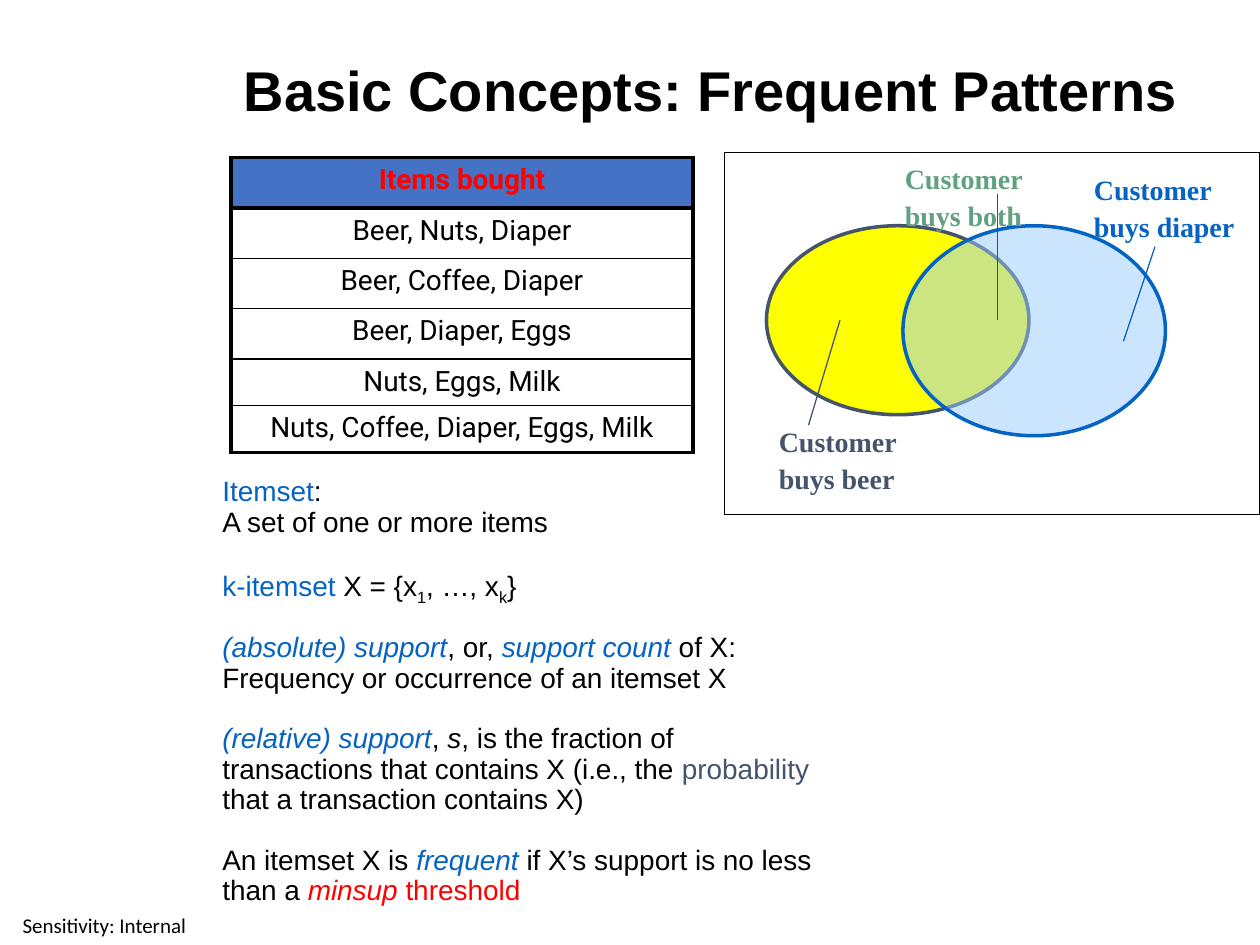
from dataclasses import dataclass

from lxml.etree import SubElement
from pptx import Presentation
from pptx.dml.color import RGBColor as RGB
from pptx.enum.shapes import MSO_CONNECTOR as CONN, MSO_SHAPE as SHAPE
from pptx.enum.text import MSO_ANCHOR as ANCHOR, PP_ALIGN as ALIGN
from pptx.oxml.ns import qn
from pptx.util import Inches, Pt


@dataclass(frozen=True)
class Theme:
    black: str = "000000"
    blue: str = "0563C1"
    slate: str = "44546A"
    red: str = "FF0000"
    green: str = "008000"
    sage: str = "5FA180"
    yellow: str = "FFFF00"
    sky: str = "99CCFF"
    header: str = "4472C4"
    title_size: int = 32
    body_size: int = 16
    small_size: int = 12
    body_font: str = "Arial"
    table_font: str = "Roboto"
    label_font: str = "Times New Roman"
    small_font: str = "Calibri"


T = Theme()
ITEMS = ["Items bought", "Beer, Nuts, Diaper", "Beer, Coffee, Diaper",
         "Beer, Diaper, Eggs", "Nuts, Eggs, Milk",
         "Nuts, Coffee, Diaper, Eggs, Milk"]

# Each paragraph: starts a new block?, then runs of (text, colour, style)
DEFINITIONS = [
    (False, [("Itemset", T.blue, ""), (":", T.black, "")]),
    (False, [("A set of one or more items", T.black, "")]),
    (True, [("k-itemset", T.blue, ""), (" X = {x", T.black, ""),
            ("1", T.black, "sub"), (", …, x", T.black, ""),
            ("k", T.black, "sub"), ("}", T.black, "")]),
    (True, [("(absolute) support", T.blue, "italic"), (", or, ", T.black, ""),
            ("support count", T.blue, "italic"),
            (" of X: Frequency or occurrence of an itemset X", T.black, "")]),
    (True, [("(relative) support", T.blue, "italic"), (", ", T.black, ""),
            ("s", T.black, "italic"),
            (", is the fraction of transactions that contains X (i.e., the ",
             T.black, ""),
            ("probability", T.slate, ""),
            (" that a transaction contains X)", T.black, "")]),
    (True, [("An itemset X is ", T.black, ""), ("frequent", T.blue, "italic"),
            (" if X’s support is no less than a ", T.black, ""),
            ("minsup", T.red, "italic"), (" threshold", T.red, "")]),
]


def grid(*units):
    """Lengths on a grid of 120 columns by 90 rows, 12 to the inch."""
    return [Inches(u / 12) for u in units]


def set_font(p, name, size, color=None, bold=False):
    p.font.name, p.font.size, p.font.bold = name, Pt(size), bold
    if color:
        p.font.color.rgb = RGB.from_string(color)


def add_text_box(slide, box, wrap=True):
    tf = slide.shapes.add_textbox(*grid(*box)).text_frame
    tf.word_wrap = wrap
    return tf


def add_title(slide, text):
    title = slide.shapes.title
    title.left, title.top, title.width, title.height = grid(22, 5, 93.2, 7.8)
    tf = title.text_frame
    tf.text, tf.vertical_anchor = text, ANCHOR.MIDDLE
    p = tf.paragraphs[0]
    p.alignment, p.line_spacing = ALIGN.LEFT, 0.9
    set_font(p, T.body_font, T.title_size, T.black, True)


def set_borders(cell, top, bottom):
    tc_pr = cell._tc.get_or_add_tcPr()
    widths = {"a:lnL": 2.25, "a:lnR": 2.25, "a:lnT": top, "a:lnB": bottom}
    for tag, width in widths.items():
        ln = SubElement(tc_pr, qn(tag), w=str(Pt(width)))
        SubElement(SubElement(ln, qn("a:solidFill")), qn("a:srgbClr"),
                   val=T.black)


def add_items_table(slide, items):
    table = slide.shapes.add_table(len(items), 1, *grid(22, 15, 44, 28)).table
    table.horz_banding = False
    last = len(items) - 1
    for i, text in enumerate(items):
        table.rows[i].height = Inches(0.4 if i < 4 else 0.37)
        cell = table.cell(i, 0)
        set_borders(cell, 2.25 if i < 2 else 1, 2.25 if i in (0, last) else 1)
        if i == 0:
            cell.fill.solid()
            cell.fill.fore_color.rgb = RGB.from_string(T.header)
        else:
            cell.fill.background()
        cell.text = text
        p = cell.text_frame.paragraphs[0]
        p.alignment, p.space_before = ALIGN.CENTER, Pt(3.2)
        set_font(p, T.table_font, T.body_size, T.black if i else T.red, i == 0)


def add_definitions(slide, paragraphs):
    tf = add_text_box(slide, (20, 44.9, 60, 41.9))
    for i, (new_block, runs) in enumerate(paragraphs):
        p = tf.add_paragraph() if i else tf.paragraphs[0]
        p.line_spacing = 0.9
        if new_block:
            p.space_before = Pt(17.5)
        set_font(p, T.body_font, T.body_size)
        for text, color, style in runs:
            r = p.add_run()
            r.text = text
            r.font.color.rgb = RGB.from_string(color)
            if style == "italic":
                r.font.italic = True
            elif style == "sub":
                r.font._element.set("baseline", "-25000")


def add_outline(slide, shape, box, line, width, fill=None, alpha=None):
    sp = slide.shapes.add_shape(shape, *grid(*box))
    sp.shadow.inherit = False
    sp.line.color.rgb, sp.line.width = RGB.from_string(line), Pt(width)
    if fill is None:
        sp.fill.background()
        return
    sp.fill.solid()
    sp.fill.fore_color.rgb = RGB.from_string(fill)
    if alpha:
        color = sp._element.spPr.find(qn("a:solidFill"))[0]
        SubElement(color, qn("a:alpha"), val=str(alpha * 1000))


def add_pointer(slide, ends, color):
    line = slide.shapes.add_connector(CONN.STRAIGHT, *grid(*ends))
    line.line.color.rgb, line.line.width = RGB.from_string(color), Pt(0.75)
    SubElement(line._element.spPr, qn("a:effectLst"))


def add_label(slide, box, lines, color, wrap=True):
    tf = add_text_box(slide, box, wrap)
    tf.text = "\n".join(lines)
    for p in tf.paragraphs:
        p.line_spacing = 1.1
        set_font(p, T.label_font, T.body_size, color, True)


def add_venn(slide):
    # Overlapping sets
    add_outline(slide, SHAPE.OVAL, (73, 21.5, 25, 18), T.slate, 2, T.yellow)
    add_outline(slide, SHAPE.OVAL, (86, 21.5, 25, 20), T.blue, 2, T.sky, 50)
    # Pointers from the sets to their labels
    add_pointer(slide, (80, 30.5, 77, 40.5), T.slate)
    add_pointer(slide, (107, 32.5, 110, 23.5), T.blue)
    add_pointer(slide, (95, 30.5, 95, 18.5), T.green)
    # Labels
    add_label(slide, (103, 15.5, 16, 8.3), ("Customer", "buys diaper"), T.blue)
    add_label(slide, (85, 14.5, 13.7, 8.3), ("Customer", "buys both"), T.sage)
    add_label(slide, (73, 39.5, 13.7, 8.3), ("Customer", "buys beer"),
              T.slate, wrap=False)
    # Frame
    add_outline(slide, SHAPE.RECTANGLE, (69, 14.5, 51, 34.5), T.black, 0.75)


def add_sensitivity(slide, text):
    tf = add_text_box(slide, (0, 86.2, 19.9, 3.8))
    tf.margin_left = tf.margin_right = tf.margin_top = tf.margin_bottom = 0
    tf.text, tf.vertical_anchor = text, ANCHOR.MIDDLE
    p = tf.paragraphs[0]
    p.alignment = ALIGN.CENTER
    set_font(p, T.small_font, T.small_size, T.black)


def main():
    prs = Presentation()
    prs.slide_width, prs.slide_height = grid(120, 90)
    slide = prs.slides.add_slide(prs.slide_layouts[5])
    add_sensitivity(slide, "Sensitivity: Internal")
    add_title(slide, "Basic Concepts: Frequent Patterns")
    add_items_table(slide, ITEMS)
    add_definitions(slide, DEFINITIONS)
    add_venn(slide)
    prs.save("out.pptx")


if __name__ == "__main__":
    main()
